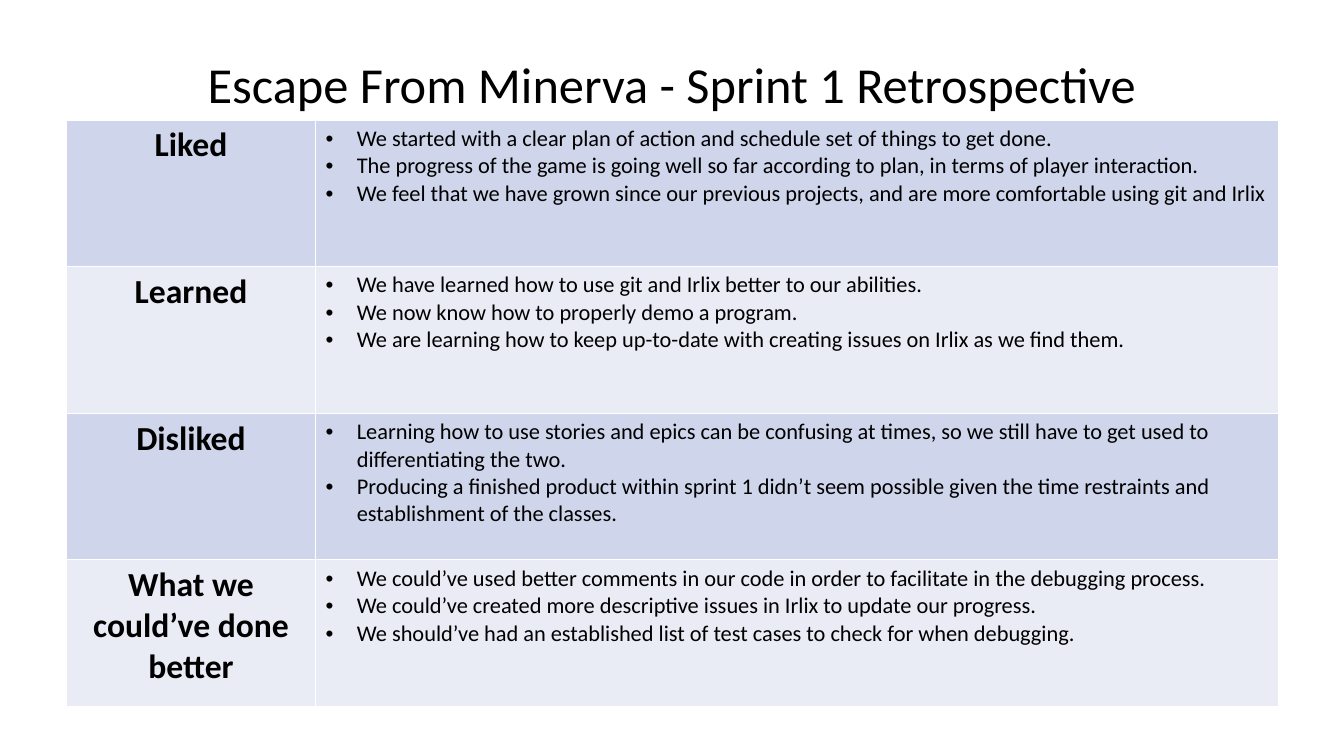
from lxml.etree import SubElement
from pptx import Presentation
from pptx.dml.color import RGBColor
from pptx.enum.text import MSO_ANCHOR, MSO_AUTO_SIZE, PP_ALIGN
from pptx.oxml.ns import qn
from pptx.util import Inches, Pt

COLORS = {"text": "000000", "border": "FFFFFF", "odd": "CFD5EA", "even": "E9EBF5"}
FORMATS = {
    "title": {"name": "Calibri", "size": Pt(36), "bold": False},
    "heading": {"name": "Calibri", "size": Pt(24), "bold": True},
    "point": {"name": "Calibri", "size": Pt(16), "bold": False},
}
HEADING_SHARE = 2.47 / 12.02  # heading column's part of the table width
BULLET_INDENT = Inches(0.31)

TITLE = "Escape From Minerva - Sprint 1 Retrospective"
RETROSPECTIVE = {
    "Liked": [
        "We started with a clear plan of action and schedule set of things to get done.",
        "The progress of the game is going well so far according to plan, in terms of player interaction.",
        "We feel that we have grown since our previous projects, and are more comfortable using git and Irlix",
    ],
    "Learned": [
        "We have learned how to use git and Irlix better to our abilities.",
        "We now know how to properly demo a program.",
        "We are learning how to keep up-to-date with creating issues on Irlix as we find them.",
    ],
    "Disliked": [
        "Learning how to use stories and epics can be confusing at times, "
        "so we still have to get used to differentiating the two.",
        "Producing a finished product within sprint 1 didn’t seem possible "
        "given the time restraints and establishment of the classes.",
    ],
    "What we could’ve done better": [
        "We could’ve used better comments in our code in order to facilitate in the debugging process.",
        "We could’ve created more descriptive issues in Irlix to update our progress.",
        "We should’ve had an established list of test cases to check for when debugging.",
    ],
}


def write(paragraph, text, style):
    run = paragraph.add_run()
    run.text = text
    for attribute, value in FORMATS[style].items():
        setattr(run.font, attribute, value)
    run.font.color.rgb = RGBColor.from_string(COLORS["text"])


def add_bullet(paragraph):
    properties = paragraph._p.get_or_add_pPr()
    properties.set("marL", str(BULLET_INDENT))
    properties.set("indent", str(-BULLET_INDENT))
    SubElement(properties, qn("a:buFont"), typeface="Arial")
    SubElement(properties, qn("a:buChar"), char="•")


def style_cell(cell, color):
    # Borders come before the fill in the cell properties
    properties = cell._tc.get_or_add_tcPr()
    for side in ("lnL", "lnR", "lnT", "lnB"):
        line = SubElement(properties, qn(f"a:{side}"), w=str(Pt(1)))
        line_fill = SubElement(line, qn("a:solidFill"))
        SubElement(line_fill, qn("a:srgbClr"), val=COLORS["border"])
    cell.fill.solid()
    cell.fill.fore_color.rgb = RGBColor.from_string(COLORS[color])


def place_title(slide, left, top, width, height):
    title = slide.shapes.title
    box = {"left": left, "top": top, "width": width, "height": height}
    for attribute, value in box.items():
        setattr(title, attribute, value)
    frame = title.text_frame
    frame.auto_size = MSO_AUTO_SIZE.NONE
    frame.word_wrap = True
    frame.vertical_anchor = MSO_ANCHOR.TOP
    frame.paragraphs[0].alignment = PP_ALIGN.CENTER
    write(frame.paragraphs[0], TITLE, "title")


def place_retrospective(slide, left, top, width, height):
    table = slide.shapes.add_table(len(RETROSPECTIVE), 2, left, top, width, height).table
    table.first_row = False
    table.columns[0].width = int(width * HEADING_SHARE)
    table.columns[1].width = width - table.columns[0].width

    for index, (heading, points) in enumerate(RETROSPECTIVE.items()):
        heading_cell, points_cell = table.rows[index].cells
        for cell in (heading_cell, points_cell):
            style_cell(cell, "even" if index % 2 else "odd")

        # Heading column
        paragraph = heading_cell.text_frame.paragraphs[0]
        paragraph.alignment = PP_ALIGN.CENTER
        write(paragraph, heading, "heading")

        # Bulleted points
        frame = points_cell.text_frame
        for number, point in enumerate(points):
            paragraph = frame.add_paragraph() if number else frame.paragraphs[0]
            add_bullet(paragraph)
            write(paragraph, point, "point")


def main():
    deck = Presentation()
    deck.slide_width, deck.slide_height = Inches(13.33), Inches(7.5)
    slide = deck.slides.add_slide(deck.slide_layouts[5])
    place_title(slide, Inches(0.95), Inches(0.48), Inches(11.43), Inches(0.71))
    place_retrospective(slide, Inches(0.66), Inches(1.19), Inches(12.02), Inches(5.82))
    deck.save("out.pptx")


if __name__ == "__main__":
    main()
